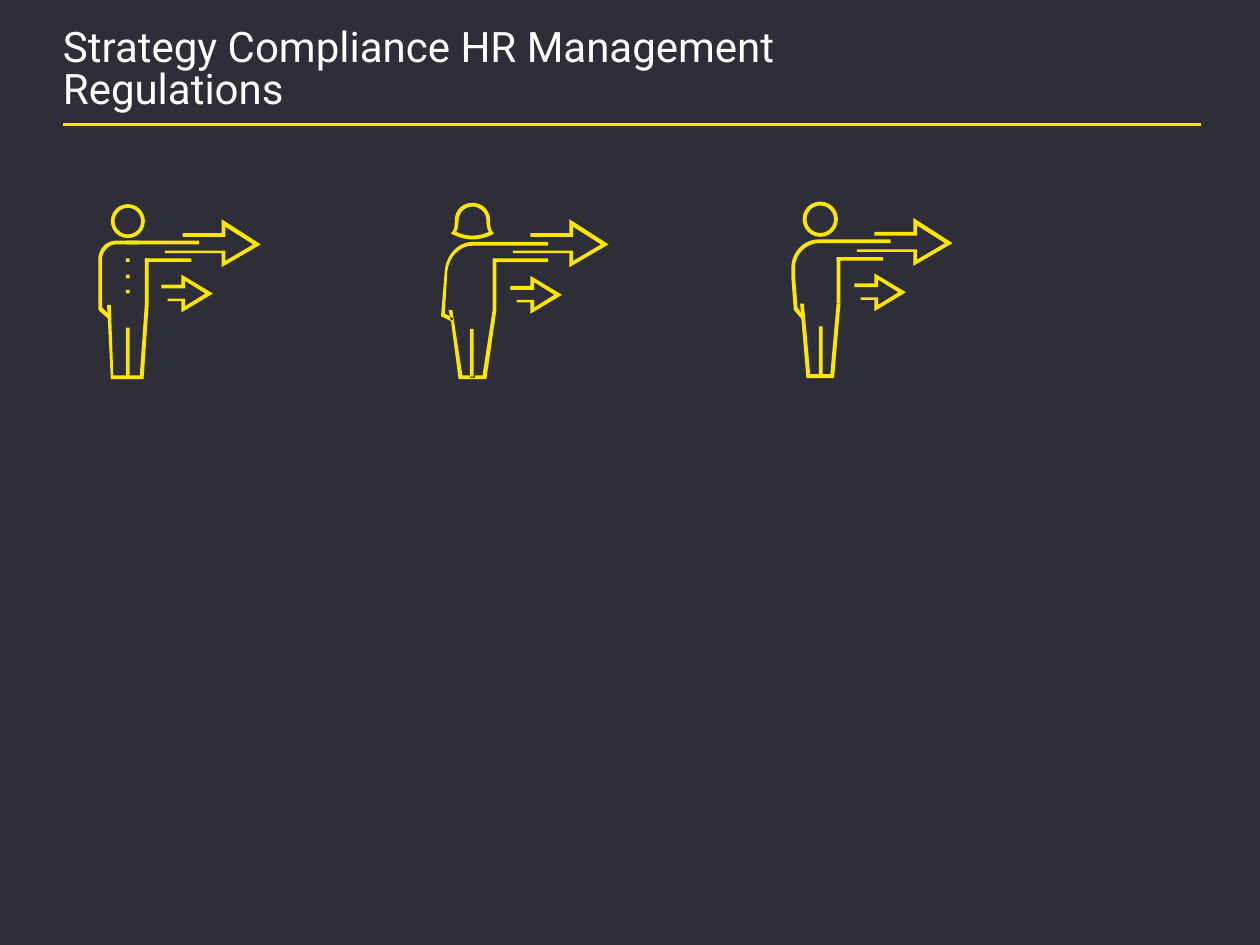
from dataclasses import dataclass
from typing import NamedTuple

from lxml.etree import SubElement
from pptx import Presentation
from pptx.dml.color import RGBColor
from pptx.enum.shapes import MSO_CONNECTOR as Connector, MSO_SHAPE as Preset
from pptx.enum.text import MSO_ANCHOR as Anchor, PP_ALIGN as Align
from pptx.oxml.ns import qn
from pptx.util import Pt

PX = 9144  # EMU; 100 px to the inch
CURVE_STEPS = 10


@dataclass(frozen=True)
class Theme:
    background: RGBColor = RGBColor(0x2E, 0x2E, 0x38)
    accent: RGBColor = RGBColor(0xFF, 0xE6, 0x00)
    text: RGBColor = RGBColor(0xFF, 0xFF, 0xFF)
    font: str = "Roboto"
    title_size: Pt = Pt(24)
    rule_width: Pt = Pt(1.5)
    ring_thickness: float = 0.11


THEME = Theme()


class Box(NamedTuple):
    left: int
    top: int
    width: int
    height: int


# An outline is a list of (x, y) corners and (x1, y1, x2, y2, x, y) curves.
Outline = list[tuple[int, ...]]


@dataclass(frozen=True)
class Figure:
    large_arrow: tuple[int, int]
    small_arrow: tuple[int, int]
    outlines: list[list[Outline]]
    bars: list[Box]
    head: Box | None = None


LARGE_ARROW: Outline = [
    (45, 38), (45, 27), (0, 27), (0, 25), (48, 25), (48, 33), (70, 20),
    (48, 6), (48, 14), (14, 14), (14, 11), (45, 11), (45, 0), (76, 20),
]
SMALL_ARROW: Outline = [
    (16, 30), (16, 21), (5, 21), (5, 19), (19, 19), (19, 25), (35, 15),
    (19, 5), (19, 11), (0, 11), (0, 8), (16, 8), (16, 0), (41, 15),
]

BUTTONED_PERSON = Figure(
    large_arrow=(131, 174),
    small_arrow=(128, 218),
    head=Box(88, 162, 27, 27),
    outlines=[
        [[(110, 191), (92, 191), (84, 191, 78, 198, 78, 206), (78, 242),
          (78, 244, 78, 246, 79, 247), (86, 253), (88, 251), (82, 245),
          (81, 244, 81, 243, 81, 242), (81, 206),
          (81, 200, 86, 194, 92, 194), (110, 194)]],
        [[(115, 205), (115, 242), (111, 298), (90, 298), (88, 242), (85, 242),
          (88, 301), (114, 301), (118, 242), (118, 205)]],
    ],
    bars=[Box(100, 191, 58, 3), Box(115, 205, 37, 3), Box(100, 260, 3, 39),
          *(Box(100, top, 3, 3) for top in (205, 218, 230))],
)

LONG_HAIRED_PERSON = Figure(
    large_arrow=(407, 174),
    small_arrow=(405, 219),
    outlines=[
        [[(375, 190), (384, 190, 391, 186, 391, 186), (392, 185), (391, 184),
          (389, 182, 389, 177, 389, 175), (389, 167, 383, 161, 375, 161),
          (367, 161, 361, 167, 361, 175), (361, 177, 361, 182, 359, 184),
          (358, 185), (359, 186), (360, 186, 366, 190, 375, 190)],
         [(364, 175), (364, 169, 369, 164, 375, 164),
          (381, 164, 386, 169, 386, 174), (386, 175, 386, 181, 388, 184),
          (386, 185, 381, 187, 375, 187), (369, 187, 364, 185, 362, 184),
          (364, 181, 364, 175, 364, 175)]],
        [[(353, 249), (355, 216), (356, 204, 365, 195, 375, 195), (375, 192),
          (364, 192, 354, 202, 353, 215), (350, 251), (358, 255), (357, 251)]],
        [[(391, 205), (391, 246), (383, 298), (377, 298), (377, 300),
          (373, 300), (373, 298), (367, 298), (359, 246), (356, 246),
          (357, 251), (360, 253), (358, 255), (364, 301), (386, 301),
          (394, 246), (394, 208), (435, 208), (435, 205)]],
    ],
    bars=[Box(374, 192, 61, 3), Box(373, 261, 3, 38)],
)

PLAIN_PERSON = Figure(
    large_arrow=(680, 173),
    small_arrow=(678, 217),
    head=Box(637, 160, 28, 28),
    outlines=[
        [[(662, 300), (640, 300), (635, 241), (638, 241), (643, 297),
          (659, 297), (664, 241), (667, 241)]],
        [[(650, 190), (638, 190, 628, 200, 628, 213), (628, 219), (630, 246),
          (636, 253), (638, 252), (633, 244), (631, 219), (631, 212),
          (631, 202, 640, 193, 650, 193)]],
    ],
    bars=[Box(650, 190, 57, 3), Box(664, 204, 37, 3),
          Box(664, 204, 3, 37), Box(650, 259, 3, 39)],
)


def emu(box: Box) -> list[int]:
    return [length * PX for length in box]


def paint(shape) -> None:
    shape.fill.solid()
    shape.fill.fore_color.rgb = THEME.accent
    shape.line.fill.background()
    shape.shadow.inherit = False


def flatten(outline: Outline) -> list[tuple[int, int]]:
    """Turn corners and cubic curves into points in EMU."""
    points = []
    for part in outline:
        if len(part) == 2:
            points.append(part)
            continue
        controls = [points[-1], part[0:2], part[2:4], part[4:6]]
        for step in range(1, CURVE_STEPS + 1):
            t = step / CURVE_STEPS
            weights = ((1 - t) ** 3, 3 * t * (1 - t) ** 2, 3 * t * t * (1 - t), t ** 3)
            points.append(tuple(sum(w * c[axis] for w, c in zip(weights, controls))
                                for axis in (0, 1)))
    return [(round(x * PX), round(y * PX)) for x, y in points]


def draw_outlines(shapes, outlines: list[Outline]) -> None:
    """Draw one freeform; outlines after the first are holes."""
    first, *holes = map(flatten, outlines)
    builder = shapes.build_freeform(*first[0], scale=1.0)
    builder.add_line_segments(first[1:], close=True)
    for hole in holes:
        builder.move_to(*hole[0])
        builder.add_line_segments(hole[1:], close=True)
    paint(builder.convert_to_shape())


def draw_figure(slide, figure: Figure) -> None:
    shapes = slide.shapes.add_group_shape().shapes
    for arrow, (left, top) in ((LARGE_ARROW, figure.large_arrow),
                               (SMALL_ARROW, figure.small_arrow)):
        draw_outlines(shapes, [[(left + x, top + y) for x, y in arrow]])
    for outlines in figure.outlines:
        draw_outlines(shapes, outlines)
    if figure.head:
        ring = shapes.add_shape(Preset.DONUT, *emu(figure.head))
        ring.adjustments[0] = THEME.ring_thickness
        paint(ring)
    # Preset shapes come last: adding one refits the group to its freeforms.
    for bar in figure.bars:
        paint(shapes.add_shape(Preset.RECTANGLE, *emu(bar)))


def draw_title(slide, box: Box, lines: list[str]) -> None:
    frame = slide.shapes.add_textbox(*emu(box)).text_frame
    frame_format = dict(word_wrap=True, vertical_anchor=Anchor.TOP, margin_left=0,
                        margin_top=0, margin_right=0, margin_bottom=0)
    for name, value in frame_format.items():
        setattr(frame, name, value)
    paragraph = frame.paragraphs[0]
    paragraph.alignment = Align.LEFT
    paragraph.line_spacing = 0.85
    for index, line in enumerate(lines):
        if index:
            paragraph.add_line_break()
        run = paragraph.add_run()
        run.text = line
        for name, value in dict(name=THEME.font, size=THEME.title_size).items():
            setattr(run.font, name, value)
        run.font.color.rgb = THEME.text


def draw_rule(slide, left: int, right: int, top: int) -> None:
    rule = slide.shapes.add_connector(
        Connector.STRAIGHT, left * PX, top * PX, right * PX, top * PX)
    rule.line.color.rgb = THEME.accent
    rule.line.width = THEME.rule_width
    SubElement(rule._element.spPr, qn("a:effectLst"))


def main() -> None:
    presentation = Presentation()
    presentation.slide_width, presentation.slide_height = 1000 * PX, 750 * PX
    slide = presentation.slides.add_slide(presentation.slide_layouts[6])
    slide.background.fill.solid()
    slide.background.fill.fore_color.rgb = THEME.background
    draw_rule(slide, 50, 953, 99)
    draw_title(slide, Box(50, 22, 900, 65),
               ["Strategy Compliance HR Management", "Regulations"])
    for figure in (BUTTONED_PERSON, LONG_HAIRED_PERSON, PLAIN_PERSON):
        draw_figure(slide, figure)
    presentation.save("out.pptx")


if __name__ == "__main__":
    main()
